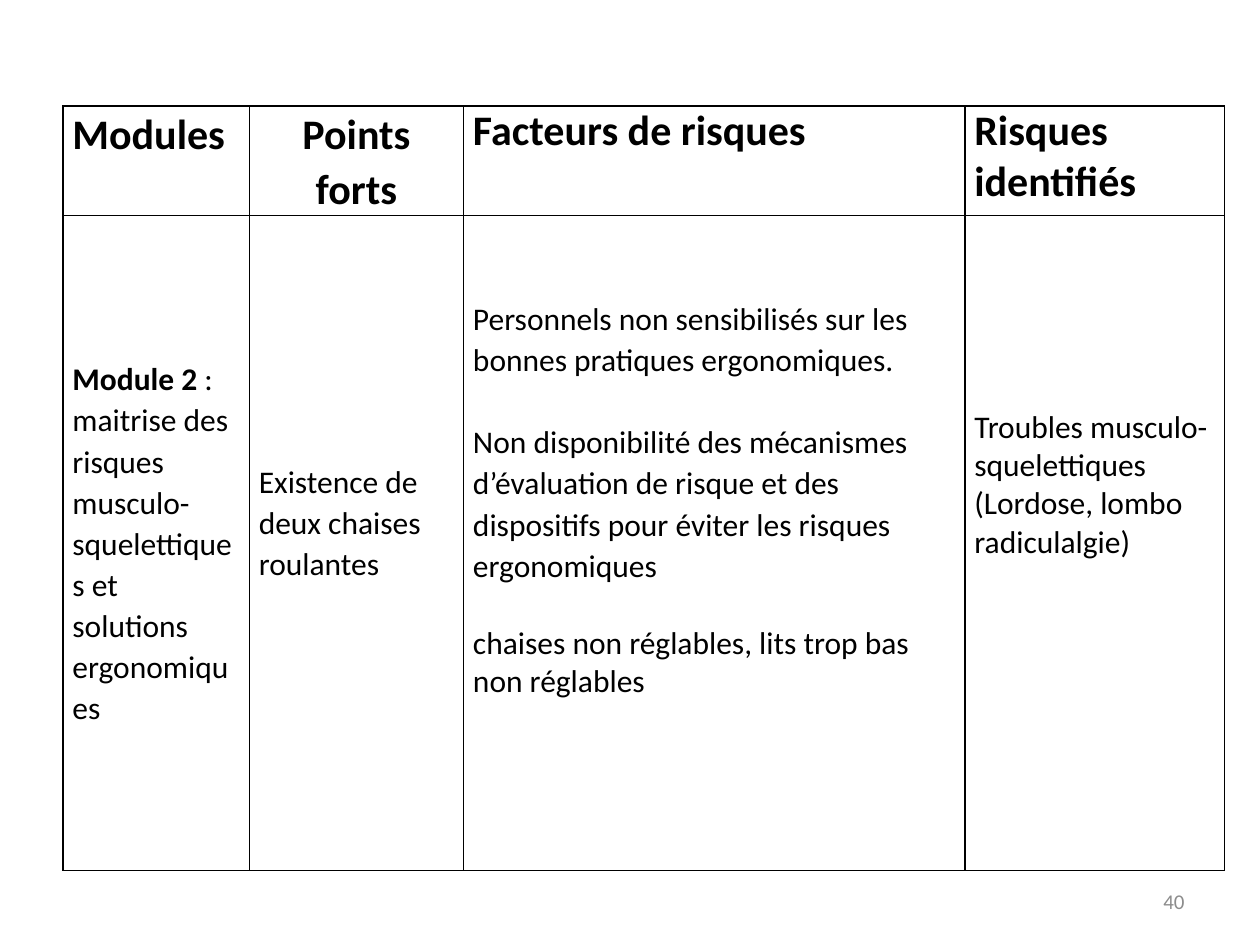
from lxml.etree import SubElement
from pptx import Presentation
from pptx.dml.color import RGBColor
from pptx.enum.text import MSO_ANCHOR as Anchor, PP_ALIGN as Align
from pptx.oxml.ns import qn
from pptx.util import Pt

BLACK = RGBColor(0, 0, 0)
GREY = RGBColor(0x8C, 0x8C, 0x8C)
FONT = "Calibri"
LOOSE = 1.07
SINGLE_LINE = 22
LOOSE_LINE = 23.5
SIDE_MARGIN = 5.4
PAGE_NUMBER = "40"

COLUMN_WIDTHS = [106.5, 122.4, 286.5, 148.4]
ROW_HEIGHTS = [62.7, 374.4]
HEADERS = [
    ("Modules", Align.LEFT, LOOSE),
    ("Points forts", Align.CENTER, LOOSE),
    ("Facteurs de risques", Align.LEFT, 1),
    ("Risques identifiés", Align.LEFT, 1),
]
MODULE = [
    ("Module 2", True),
    ("\u00a0: maitrise des risques musculo-squelettiques et solutions ergonomiques", False),
]
STRENGTH = [("Existence de deux chaises roulantes", False)]
FACTORS = [
    ("Personnels non sensibilisés sur les bonnes pratiques ergonomiques.", LOOSE, 0),
    ("Non disponibilité des mécanismes d’évaluation de risque et des dispositifs "
     "pour éviter les risques ergonomiques", LOOSE, LOOSE_LINE),
    ("chaises non réglables, lits trop bas non réglables", 1, SINGLE_LINE),
]
RISK = [("Troubles musculo-squelettiques (Lordose, lombo radiculalgie)", False)]

BODY = [
    ([(MODULE, LOOSE, 0)], Anchor.MIDDLE, 0, 0),
    ([(STRENGTH, LOOSE, 0)], Anchor.MIDDLE, 0, LOOSE_LINE),
    ([([(text, False)], spacing, gap) for text, spacing, gap in FACTORS],
     Anchor.TOP, 2 * LOOSE_LINE, 0),
    ([(RISK, 1, 0)], Anchor.TOP, 5 * SINGLE_LINE, 0),
]


def add_borders(cell):
    properties = cell._tc.get_or_add_tcPr()
    for position, side in enumerate(("a:lnL", "a:lnR", "a:lnT", "a:lnB")):
        line = SubElement(properties, qn(side), w=str(Pt(1)))
        fill = SubElement(line, qn("a:solidFill"))
        SubElement(fill, qn("a:srgbClr"), val=str(BLACK))
        properties.insert(position, line)


def set_font(para, size, color):
    para.font.name = FONT
    para.font.size = Pt(size)
    para.font.color.rgb = color


def fill_cell(cell, paragraphs, size, align=Align.LEFT, anchor=Anchor.TOP, top=0, bottom=0):
    cell.fill.background()
    add_borders(cell)
    cell.vertical_anchor = anchor
    cell.margin_left = cell.margin_right = Pt(SIDE_MARGIN)
    cell.margin_top, cell.margin_bottom = Pt(top), Pt(bottom)
    frame = cell.text_frame
    for index, (spans, spacing, gap) in enumerate(paragraphs):
        para = frame.add_paragraph() if index else frame.paragraphs[0]
        para.alignment = align
        para.line_spacing = spacing
        para.space_before = Pt(gap)
        set_font(para, size, BLACK)
        for text, bold in spans:
            span = para.add_run()
            span.text = text
            span.font.bold = bold


deck = Presentation()
deck.slide_width, deck.slide_height = Pt(720), Pt(540)
page = deck.slides.add_slide(deck.slide_layouts[6])

frame = page.shapes.add_table(
    len(ROW_HEIGHTS), len(COLUMN_WIDTHS),
    Pt(36), Pt(60.5), Pt(sum(COLUMN_WIDTHS)), Pt(sum(ROW_HEIGHTS)))
table = frame.table
table.first_row = table.horz_banding = False
for column, width in zip(table.columns, COLUMN_WIDTHS):
    column.width = Pt(width)
for row, height in zip(table.rows, ROW_HEIGHTS):
    row.height = Pt(height)
for index, (text, align, spacing) in enumerate(HEADERS):
    fill_cell(table.cell(0, index), [([(text, True)], spacing, 0)], 24, align)
for index, (paragraphs, anchor, top, bottom) in enumerate(BODY):
    fill_cell(table.cell(1, index), paragraphs, 18, anchor=anchor, top=top, bottom=bottom)

box = page.shapes.add_textbox(Pt(516), Pt(500.5), Pt(168), Pt(28.75))
box.text_frame.word_wrap = True
box.text_frame.vertical_anchor = Anchor.MIDDLE
para = box.text_frame.paragraphs[0]
para.text = PAGE_NUMBER
para.alignment = Align.RIGHT
set_font(para, 12, GREY)

deck.save("out.pptx")
